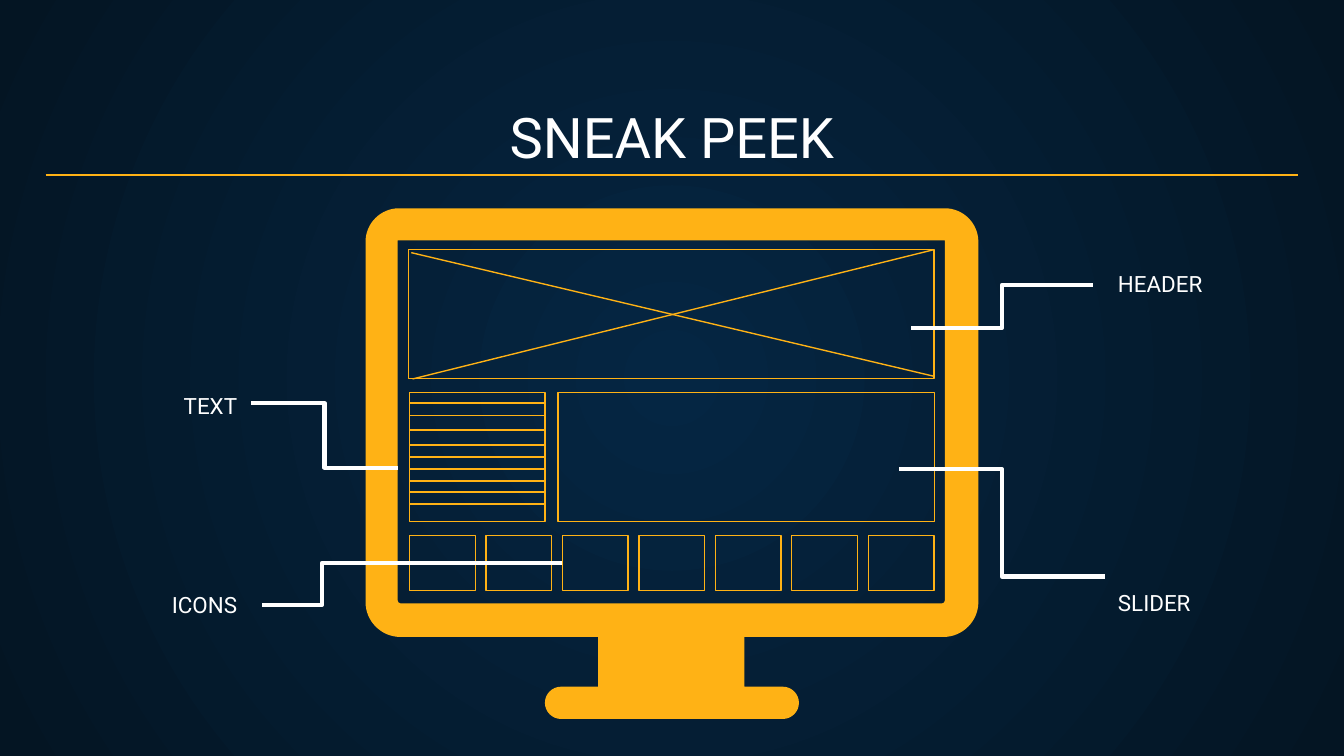
import dataclasses
import itertools
import math
import typing

import lxml.etree
import pptx
import pptx.dml.color
import pptx.enum.shapes
import pptx.enum.text
import pptx.oxml
import pptx.oxml.ns
import pptx.util

# The grid: 100 columns by 56.25 rows, each cell a tenth of an inch
COLS, ROWS = 100, 56.25
FINE = 100  # outline steps in one cell
Point = tuple[float, float]
Align = pptx.enum.text.PP_ALIGN
Anchor = pptx.enum.text.MSO_ANCHOR
Link = pptx.enum.shapes.MSO_CONNECTOR


@dataclasses.dataclass(frozen=True)
class Theme:
    gold: str = "FFB215"
    white: str = "FFFFFF"
    glow: str = "052643"
    night: str = "041523"
    font: str = "Roboto"
    title: float = 30
    label: float = 12
    thin: float = 0.75
    thick: float = 2.25


class Box(typing.NamedTuple):
    x: float
    y: float
    w: float
    h: float


class Label(typing.NamedTuple):
    text: str
    box: Box
    align: Align
    space: float = 1


class Lead(typing.NamedTuple):
    start: Point
    end: Point
    bend: float = 0.5


THEME = Theme()


def cell(n: float) -> int:
    return pptx.util.Inches(n / 10)


def color(code: str) -> pptx.dml.color.RGBColor:
    return pptx.dml.color.RGBColor.from_string(code)


def write(shape, text: str, size: float, align: Align, anchor: Anchor, space: float = 1) -> None:
    frame = shape.text_frame
    frame.text = text
    look = {"word_wrap": True, "auto_size": pptx.enum.text.MSO_AUTO_SIZE.NONE, "vertical_anchor": anchor}
    look |= {f"margin_{side}": cell(1) for side in ("left", "top", "right", "bottom")}
    for key, value in look.items():
        setattr(frame, key, value)
    para = frame.paragraphs[0]
    para.alignment, para.line_spacing = align, space
    font = para.runs[0].font
    for key, value in {"name": THEME.font, "size": pptx.util.Pt(size), "bold": False}.items():
        setattr(font, key, value)
    font.color.rgb = color(THEME.white)


def frame(shapes, box: Box):
    kind = pptx.enum.shapes.MSO_SHAPE.RECTANGLE
    shape = shapes.add_shape(kind, *map(cell, box))
    shape.shadow.inherit = False
    shape.fill.background()
    shape.line.color.rgb = color(THEME.gold)
    shape.line.width = pptx.util.Pt(THEME.thin)
    return shape


def stroke(shapes, start: Point, end: Point, code: str, width: float, kind: Link = Link.STRAIGHT):
    line = shapes.add_connector(kind, *map(cell, (*start, *end)))
    line.line.color.rgb = color(code)
    line.line.width = pptx.util.Pt(width)
    lxml.etree.SubElement(line._element.spPr, pptx.oxml.ns.qn("a:effectLst"))
    return line


def lead(shapes, item: Lead):
    line = stroke(shapes, item.start, item.end, THEME.white, THEME.thick, Link.ELBOW)
    geom = line._element.spPr.find(pptx.oxml.ns.qn("a:prstGeom"))
    guides = geom.find(pptx.oxml.ns.qn("a:avLst"))
    lxml.etree.SubElement(guides, pptx.oxml.ns.qn("a:gd"), name="adj1", fmla=f"val {round(item.bend * 100000)}")
    return line


def turn(x: float, y: float, r: float, start: int) -> list[Point]:
    """Start, two handles and end of a clockwise quarter circle."""
    c, s = (round(f(math.radians(start))) for f in (math.cos, math.sin))
    spots = ((1, 0), (1, 0.55), (0.55, 1), (0, 1))
    return [(x + r * (c * u - s * v), y + r * (s * u + c * v)) for u, v in spots]


def monitor(shapes) -> None:
    # Each piece is one corner point or the four points of a curve
    screen = [[(70.3, 17.9)], turn(70.1, 44.7, 0.2, 0), turn(29.8, 44.7, 0.2, 90), [(29.6, 17.9)]]
    body = [
        turn(29.7, 18, 2.5, 180), turn(70.3, 18, 2.5, 270), turn(70.2, 44.8, 2.6, 0),
        [(55.4, 47.4)], [(55.4, 51.1)],
        turn(58.25, 52.3, 1.2, 270), turn(58.25, 52.3, 1.2, 0),
        turn(41.75, 52.3, 1.2, 90), turn(41.75, 52.3, 1.2, 180),
        [(44.5, 51.1)], [(44.5, 47.4)], turn(29.8, 44.8, 2.6, 90),
    ]
    hole, shell = ([(x * FINE, y * FINE) for x, y in itertools.chain(*part)] for part in (screen, body))
    pen = shapes.build_freeform(*hole[0], scale=cell(1) / FINE)
    pen.add_line_segments(hole[1:], close=True)
    pen.move_to(*shell[0])
    pen.add_line_segments(shell[1:], close=True)
    shape = pen.convert_to_shape()

    # Join the points of each curve
    trace = shape._element.spPr.find(".//" + pptx.oxml.ns.qn("a:path"))
    nodes = iter([node for node in trace if len(node)])
    for piece in screen + body:
        group = list(itertools.islice(nodes, len(piece)))[1:]
        if group:
            curve = lxml.etree.SubElement(trace, pptx.oxml.ns.qn("a:cubicBezTo"))
            group[0].addprevious(curve)
            for node in group:
                curve.append(node[0])
                trace.remove(node)
    shape.shadow.inherit = False
    shape.fill.solid()
    shape.fill.fore_color.rgb = color(THEME.gold)
    shape.line.fill.background()


def backdrop(slide) -> None:
    fill = slide.background.fill
    fill.gradient()
    for stop, code, place in zip(fill.gradient_stops, (THEME.glow, THEME.night), (0, 1)):
        stop.color.rgb, stop.position = color(code), place
    grad = slide._element.cSld.find(".//" + pptx.oxml.ns.qn("a:gradFill"))
    grad.remove(grad.find(pptx.oxml.ns.qn("a:lin")))
    ring = lxml.etree.SubElement(grad, pptx.oxml.ns.qn("a:path"), path="circle")
    sides = dict.fromkeys("ltrb", "50000")
    lxml.etree.SubElement(ring, pptx.oxml.ns.qn("a:fillToRect"), **sides)


# Wireframe parts
HERO = Box(30.4, 18.58, 39.1, 9.6)
COPY = Box(30.46, 29.2, 10.1, 9.6)
SLIDER = Box(41.52, 29.2, 28, 9.6)
ICONS = [Box(30.46 + 5.69 * i, 39.83, 4.9, 4.1) for i in range(7)]
CROSS = [((30.6, 18.8), (69.5, 28)), ((30.7, 28.2), (69.4, 18.6))]
RULES = (30, 30.9, 32, 33.1, 34, 34.9, 35.8, 36.6, 37.5)

# Callouts
LABELS = [
    Label("HEADER", Box(82.2, 19.1, 11.6, 2.1), Align.LEFT),
    Label("TEXT", Box(7.04, 28.2, 11.6, 2.1), Align.RIGHT),
    Label("SLIDER", Box(82.2, 40.8, 11.6, 2.1), Align.LEFT, 2),
    Label("ICONS", Box(7.04, 43, 11.6, 2.1), Align.RIGHT),
]
LEADS = [
    Lead((18.7, 30), (29.6, 34.8)),
    Lead((67.8, 24.4), (81.3, 21.2)),
    Lead((66.9, 34.9), (82.2, 42.9)),
]
ICONLEAD = Lead((19.5, 45), (41.9, 41.9), 0.2)


def main() -> None:
    deck = pptx.Presentation()
    deck.slide_width, deck.slide_height = cell(COLS), cell(ROWS)
    slide = deck.slides.add_slide(deck.slide_layouts[5])
    shapes = slide.shapes
    backdrop(slide)

    # Title
    title = shapes.title
    spot = dict(zip(("left", "top", "width", "height"), (3.4, 7.04, 93.2, 6.6)))
    for key, value in spot.items():
        setattr(title, key, cell(value))
    write(title, "SNEAK PEEK", THEME.title, Align.CENTER, Anchor.BOTTOM)

    # Monitor and its wireframe
    monitor(shapes)
    for box in (HERO, COPY, SLIDER):
        frame(shapes, box)
    icons = [frame(shapes, box) for box in ICONS]
    rows = [((COPY.x, y), (COPY.x + 10, y)) for y in RULES]
    for start, end in CROSS + rows:
        stroke(shapes, start, end, THEME.gold, THEME.thin)

    # Labels and their leads
    for item in LABELS:
        area = shapes.add_textbox(*map(cell, item.box))
        write(area, item.text, THEME.label, item.align, Anchor.TOP, item.space)
    for item in LEADS:
        lead(shapes, item)
    lead(shapes, ICONLEAD).end_connect(icons[2], 1)

    # Rule under the title
    stroke(shapes, (3.4, 13.03), (96.6, 13.03), THEME.gold, THEME.thin)
    deck.save("out.pptx")


if __name__ == "__main__":
    main()
